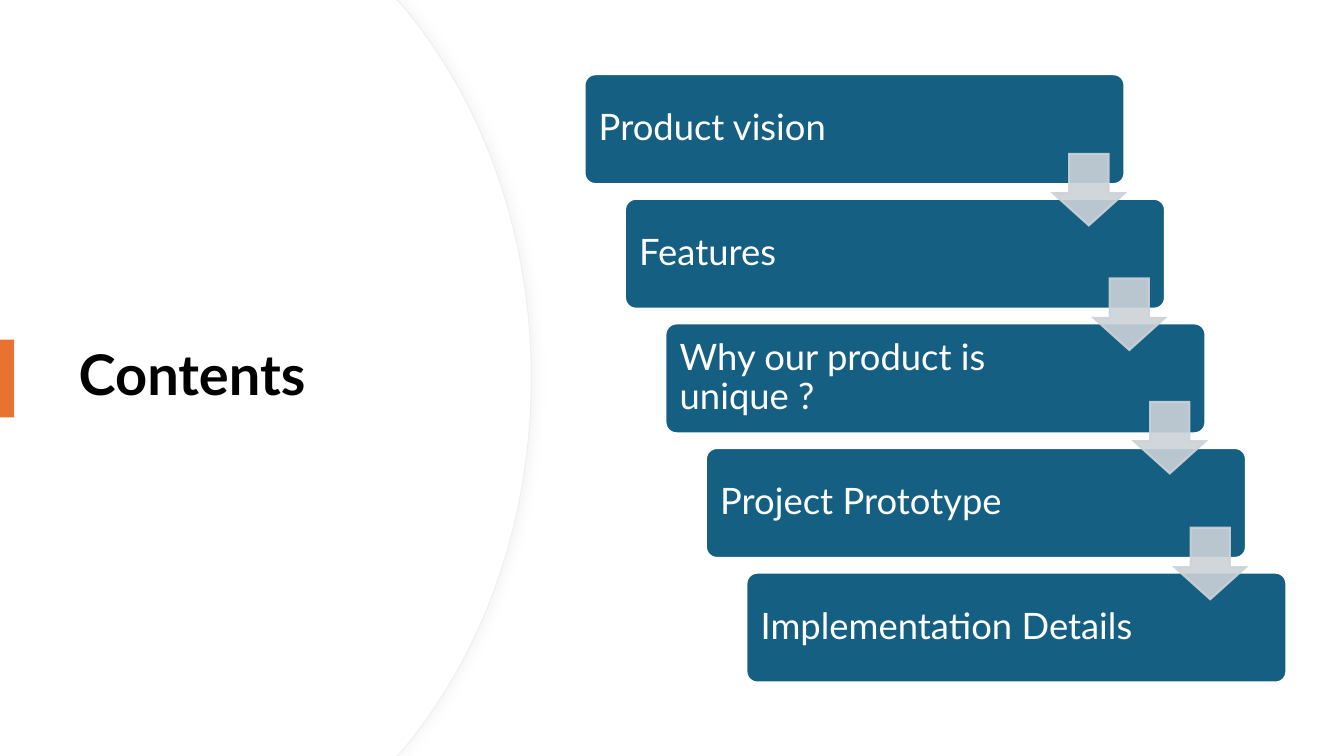
from dataclasses import dataclass
from typing import Any

from lxml.etree import SubElement
from pptx import Presentation
from pptx.dml.color import RGBColor
from pptx.enum.shapes import MSO_SHAPE
from pptx.enum.text import MSO_ANCHOR, PP_ALIGN
from pptx.oxml.ns import qn
from pptx.util import Cm, Length, Pt


@dataclass(frozen=True)
class Theme:
    font: str = "Lato"
    title_size: int = 40
    step_size: int = 26
    black: str = "000000"
    white: str = "FFFFFF"
    blue: str = "156082"
    orange: str = "E97132"
    grey: str = "CCD2D8"
    panel_edge: str = "EFEFEF"
    panel_shadow: str = "D9D9D9"


@dataclass(frozen=True)
class Box:
    """A rectangle in centimetres."""
    left: float
    top: float
    width: float
    height: float

    def lengths(self) -> list[Length]:
        return [Cm(self.left), Cm(self.top), Cm(self.width), Cm(self.height)]


@dataclass(frozen=True)
class Step:
    text: str
    label_width: float = 10.64
    arrow_top: float | None = None


THEME = Theme()
SLIDE_WIDTH, SLIDE_HEIGHT = 33.87, 19.05
STEP_LEFT, STEP_TOP, STEP_WIDTH, STEP_HEIGHT = 14.73, 1.87, 13.61, 2.77
STEP_RIGHT, STEP_DOWN = 1.02, 3.14
LABEL_INSET = 0.08
ARROW_SIZE = 1.8
TITLE = Box(1.73, 3.23, 10, 12.57)
ACCENT = Box(0, 8.56, 0.36, 1.96)
STEPS = [
    Step("Product vision", 10.31, 3.88),
    Step("Features", arrow_top=7.02),
    Step("Why our product is unique ?", arrow_top=10.13),
    Step("Project Prototype", arrow_top=13.3),
    Step("Implementation Details"),
]


def apply_format(target: Any, values: dict[str, Any]) -> None:
    for name, value in values.items():
        setattr(target, name, value)


def paint(shape: Any, fill: str, line: str | None = None, width: float = 1.5) -> None:
    shape.shadow.inherit = False
    shape.fill.solid()
    shape.fill.fore_color.rgb = RGBColor.from_string(fill)
    if line is None:
        shape.line.fill.background()
        return
    shape.line.color.rgb = RGBColor.from_string(line)
    shape.line.width = Pt(width)
    SubElement(shape.element.spPr.find(qn("a:ln")), qn("a:miter"), lim="800000")


def write_text(shape: Any, text: str, frame_format: dict[str, Any],
               font_format: dict[str, Any], color: str) -> None:
    frame = shape.text_frame
    frame.text = text
    apply_format(frame, {"word_wrap": True, "vertical_anchor": MSO_ANCHOR.MIDDLE,
                         **frame_format})
    paragraph = frame.paragraphs[0]
    apply_format(paragraph, {"alignment": PP_ALIGN.LEFT, "line_spacing": 0.9})
    font = paragraph.runs[0].font
    apply_format(font, {"name": THEME.font, **font_format})
    font.color.rgb = RGBColor.from_string(color)


def add_panel(slide: Any, reach: float) -> Any:
    """Draw the white panel whose right edge bulges out to the given reach."""
    corner, shoulder, control = reach - 3.38, reach - 3.2, reach - 1.22
    outline = [(corner, 0), (shoulder, 0.2),
               (control, 2.59), (reach, 5.89), (reach, SLIDE_HEIGHT / 2),
               (reach, 13.16), (control, 16.46), (shoulder, 18.85),
               (corner, SLIDE_HEIGHT), (0, SLIDE_HEIGHT)]
    builder = slide.shapes.build_freeform(0, 0)
    builder.add_line_segments([(Cm(x), Cm(y)) for x, y in outline])
    panel = builder.convert_to_shape()
    segments = list(panel.element.spPr.iter(qn("a:lnTo")))
    for start in (2, 5):
        bend_segments(segments[start:start + 3])
    return panel


def bend_segments(segments: list[Any]) -> None:
    """Turn three straight segments into one cubic curve through their points."""
    curve = SubElement(segments[0].getparent(), qn("a:cubicBezTo"))
    segments[0].addprevious(curve)
    for segment in segments:
        curve.append(segment[0])
        segment.getparent().remove(segment)


def add_alpha(color: Any, percent: int) -> None:
    SubElement(color, qn("a:alpha"), val=str(percent * 1000))


def add_soft_shadow(shape: Any) -> None:
    effects = shape.element.spPr.find(qn("a:effectLst"))
    shadow = SubElement(effects, qn("a:outerShdw"), blurRad=str(Pt(7)), dist=str(Pt(3)),
                        dir="0", algn="l", rotWithShape="0")
    add_alpha(SubElement(shadow, qn("a:srgbClr"), val=THEME.panel_shadow), 25)


def add_step(slide: Any, step: Step, index: int) -> None:
    left, top = STEP_LEFT + index * STEP_RIGHT, STEP_TOP + index * STEP_DOWN
    box = Box(left, top, STEP_WIDTH, STEP_HEIGHT)
    shape = slide.shapes.add_shape(MSO_SHAPE.ROUNDED_RECTANGLE, *box.lengths())
    shape.adjustments[0] = 0.1
    paint(shape, THEME.blue, THEME.white)
    label_box = Box(left + LABEL_INSET, top + LABEL_INSET,
                    step.label_width, STEP_HEIGHT - 2 * LABEL_INSET)
    label = slide.shapes.add_textbox(*label_box.lengths())
    margins = {f"margin_{side}": Cm(0.28) for side in ("left", "top", "right", "bottom")}
    write_text(label, step.text, margins, {"size": Pt(THEME.step_size)}, THEME.white)


def add_arrow(slide: Any, top: float, index: int) -> None:
    left = STEP_LEFT + STEP_WIDTH - ARROW_SIZE + index * STEP_RIGHT
    box = Box(left, top, ARROW_SIZE, ARROW_SIZE)
    shape = slide.shapes.add_shape(MSO_SHAPE.DOWN_ARROW, *box.lengths())
    shape.adjustments[0], shape.adjustments[1] = 0.55, 0.45
    paint(shape, THEME.grey, THEME.grey)
    for color in shape.element.spPr.iter(qn("a:srgbClr")):
        add_alpha(color, 90)


def main() -> None:
    presentation = Presentation()
    apply_format(presentation, {"slide_width": Cm(SLIDE_WIDTH),
                                "slide_height": Cm(SLIDE_HEIGHT)})
    slide = presentation.slides.add_slide(presentation.slide_layouts[5])

    edge_panel = add_panel(slide, 13.39)
    paint(edge_panel, THEME.white, THEME.panel_edge, 0.75)
    add_soft_shadow(edge_panel)
    paint(add_panel(slide, 13.36), THEME.white)

    title = slide.shapes.title
    title.element.getparent().append(title.element)  # bring in front of the panels
    apply_format(title, dict(zip(("left", "top", "width", "height"), TITLE.lengths())))
    write_text(title, "Contents", {}, {"size": Pt(THEME.title_size), "bold": True},
               THEME.black)
    paint(slide.shapes.add_shape(MSO_SHAPE.RECTANGLE, *ACCENT.lengths()), THEME.orange)

    for index, step in enumerate(STEPS):
        add_step(slide, step, index)
    for index, step in enumerate(STEPS):
        if step.arrow_top is not None:
            add_arrow(slide, step.arrow_top, index)

    presentation.save("out.pptx")


if __name__ == "__main__":
    main()
